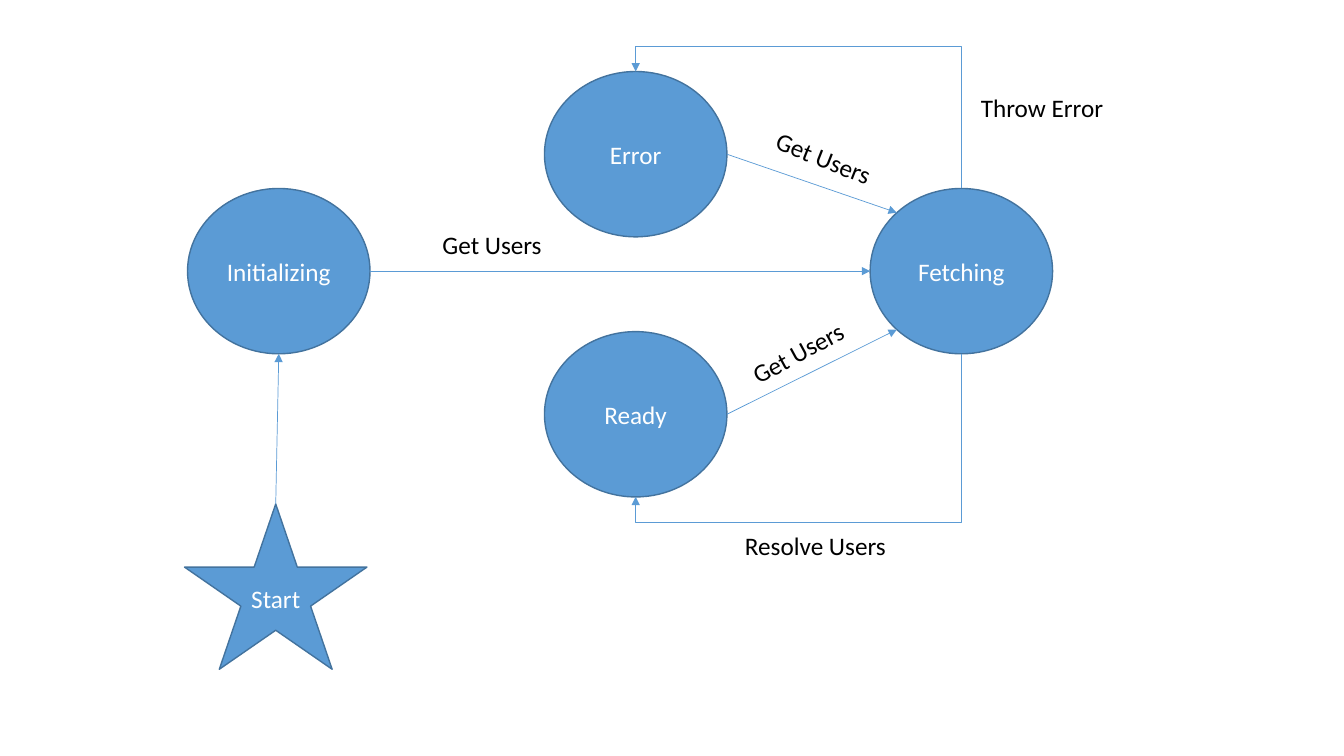
from math import cos, pi, sin

from lxml.etree import SubElement
from pptx import Presentation
from pptx.dml.color import RGBColor
from pptx.enum.shapes import MSO_CONNECTOR as Link, MSO_SHAPE as Kind
from pptx.enum.text import MSO_ANCHOR as Anchor, MSO_AUTO_SIZE as Fit, PP_ALIGN as Align
from pptx.oxml.ns import qn
from pptx.util import Inches, Pt

BLUE = RGBColor(0x5B, 0x9B, 0xD5)
EDGE = RGBColor(0x43, 0x73, 0x9E)
WHITE = RGBColor(0xFF, 0xFF, 0xFF)
BLACK = RGBColor(0, 0, 0)

WIDE, HIGH = 1.81, 1.64
BEND = 0.25
TOP, UP_LEFT, LEFT, LOW_LEFT, LOW, RIGHT = 0, 1, 2, 3, 4, 6
FONT = {"name": "Calibri", "size": Pt(18)}
NODE = {"vertical_anchor": Anchor.MIDDLE, "word_wrap": True}
LABEL = {"word_wrap": False, "auto_size": Fit.SHAPE_TO_FIT_TEXT}

STATES = {
    "Start": (Kind.STAR_5_POINT, 1.83, 5),
    "Initializing": (Kind.OVAL, 1.86, 1.87),
    "Fetching": (Kind.OVAL, 8.63, 1.87),
    "Error": (Kind.OVAL, 5.4, 0.71),
    "Ready": (Kind.OVAL, 5.4, 3.29),
}
ARROWS = [
    ("Start", TOP, "Initializing", LOW),
    ("Initializing", RIGHT, "Fetching", LEFT),
    ("Error", RIGHT, "Fetching", UP_LEFT),
    ("Ready", RIGHT, "Fetching", LOW_LEFT),
]
LOOPS = [
    ("Fetching", "Error", TOP, -BEND),
    ("Fetching", "Ready", LOW, BEND),
]
LABELS = [
    ("Get Users", 4.29, 2.23, 1.2, 0),
    ("Get Users", 7.58, 1.37, 1.2, 21.5),
    ("Get Users", 7.32, 3.29, 1.2, 331.5),
    ("Throw Error", 9.63, 0.87, 1.43, 0),
    ("Resolve Users", 7.29, 5.21, 1.61, 0),
]


def style(item, look):
    for key, value in look.items():
        setattr(item, key, value)


def write(shape, text, color, align, look):
    frame = shape.text_frame
    style(frame, look)
    par = frame.paragraphs[0]
    par.text = text
    par.alignment = align
    style(par.runs[0].font, FONT)
    par.runs[0].font.color.rgb = color


def add_state(slide, text, kind, x, y):
    node = slide.shapes.add_shape(kind, Inches(x), Inches(y), Inches(WIDE), Inches(HIGH))
    node.shadow.inherit = False
    node.fill.solid()
    node.fill.fore_color.rgb = BLUE
    node.line.color.rgb = EDGE
    node.line.width = Pt(1)
    write(node, text, WHITE, Align.CENTER, NODE)
    return node


def add_label(slide, text, x, y, wide, turn):
    box = slide.shapes.add_textbox(Inches(x), Inches(y), Inches(wide), Inches(0.4))
    box.rotation = turn
    write(box, text, BLACK, Align.LEFT, LABEL)


def find_site(state, site):
    kind, x, y = STATES[state]
    angle = site * pi / 4
    return x + WIDE / 2 * (1 - sin(angle)), y + HIGH / 2 * (1 - cos(angle))


def point(line):
    line.color.rgb = BLUE
    line.width = Pt(0.5)
    SubElement(line._get_or_add_ln(), qn("a:tailEnd"), type="triangle")


def add_arrow(slide, nodes, first, out, last, into):
    ends = find_site(first, out) + find_site(last, into)
    link = slide.shapes.add_connector(Link.STRAIGHT, *map(Inches, ends))
    point(link.line)
    SubElement(link._element.spPr, qn("a:effectLst"))
    hold = link._element.find(".//" + qn("p:cNvCxnSpPr"))
    for tag, node, site in (("a:stCxn", nodes[first], out), ("a:endCxn", nodes[last], into)):
        SubElement(hold, qn(tag), id=str(node.shape_id), idx=str(site))


def add_loop(slide, first, last, site, bend):
    x1, y1 = find_site(first, site)
    x2, y2 = find_site(last, site)
    turn = y2 + bend
    stops = [(x1, turn), (x2, turn), (x2, y2)]
    pen = slide.shapes.build_freeform(Inches(x1), Inches(y1))
    pen.add_line_segments([(Inches(x), Inches(y)) for x, y in stops], close=False)
    loop = pen.convert_to_shape()
    loop.shadow.inherit = False
    loop.fill.background()
    point(loop.line)


def main():
    deck = Presentation()
    style(deck, {"slide_width": Inches(13.33), "slide_height": Inches(7.5)})
    slide = deck.slides.add_slide(deck.slide_layouts[6])
    nodes = {text: add_state(slide, text, *place) for text, place in STATES.items()}
    for arrow in ARROWS:
        add_arrow(slide, nodes, *arrow)
    for loop in LOOPS:
        add_loop(slide, *loop)
    for label in LABELS:
        add_label(slide, *label)
    deck.save("out.pptx")


if __name__ == "__main__":
    main()
